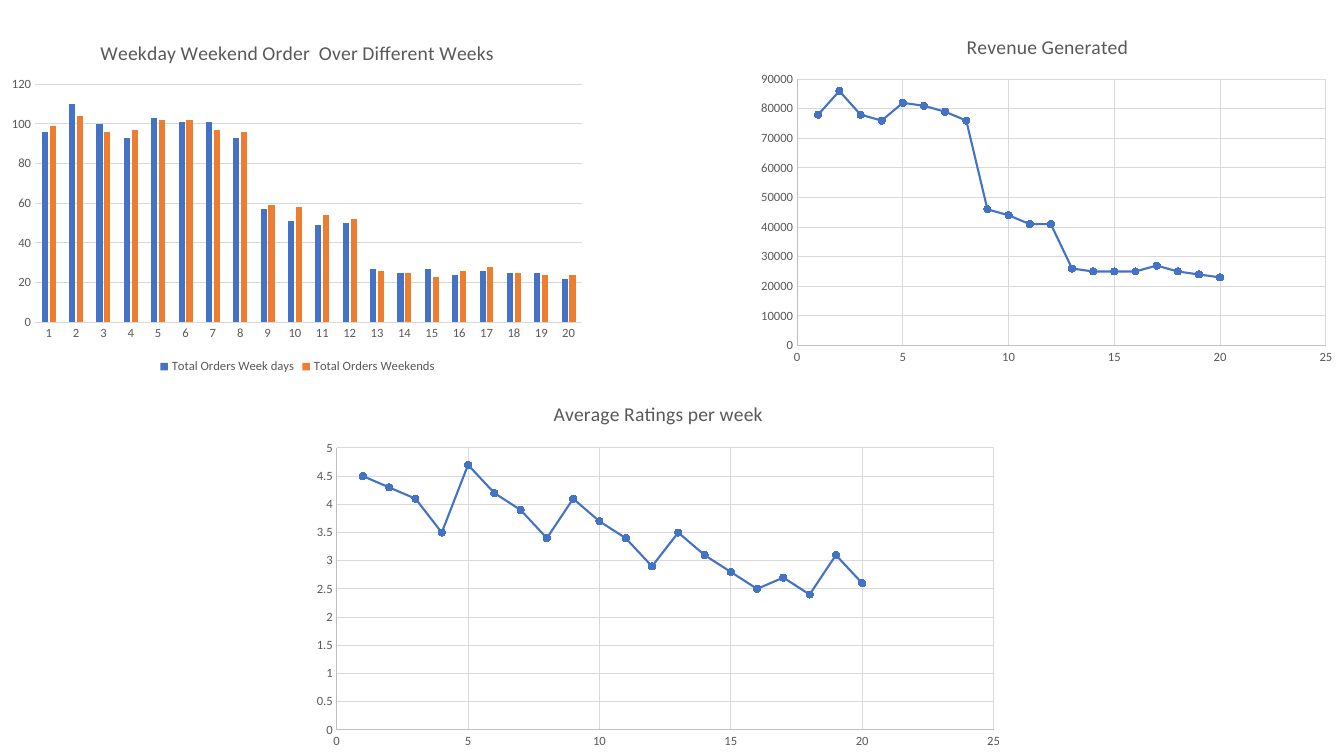
from dataclasses import dataclass
from typing import Any

from pptx import Presentation
from pptx import util as u
from pptx.chart import data as chart_data
from pptx.dml.color import RGBColor
from pptx.enum import chart as c
from pptx.oxml import parse_xml
from pptx.oxml.ns import nsdecls

SLIDE_WIDTH = u.Inches(13.33)
SLIDE_HEIGHT = u.Inches(7.5)
BLUE, ORANGE = "4472C4", "ED7D31"
TEXT, GRID, AXIS = "595959", "D9D9D9", "BFBFBF"
FONT = "Calibri"
WEEKS = range(1, 21)


@dataclass(frozen=True)
class Box:
    left: float
    top: float
    width: float
    height: float


@dataclass(frozen=True)
class Series:
    name: str
    color: str
    values: list[float]


@dataclass(frozen=True)
class ChartPanel:
    title: str
    area: Box
    plot_area: Box
    maximum: float
    step: float
    series: list[Series]
    is_scatter: bool = True


PANELS = [
    ChartPanel(
        "Weekday Weekend Order  Over Different Weeks",
        Box(0, 3.07, 44.26, 46.93), Box(5.9, 17.2, 92, 67.1), 120, 20,
        [
            Series("Total Orders Week days", BLUE,
                   [96, 110, 100, 93, 103, 101, 101, 93, 57, 51,
                    49, 50, 27, 25, 27, 24, 26, 25, 25, 22]),
            Series("Total Orders Weekends", ORANGE,
                   [99, 104, 96, 97, 102, 102, 97, 96, 59, 58,
                    54, 52, 26, 25, 23, 26, 28, 25, 24, 24]),
        ],
        is_scatter=False,
    ),
    ChartPanel(
        "Revenue Generated",
        Box(55.81, 2.27, 44.26, 46.93), Box(7.9, 17.5, 88.9, 75.1), 90000, 10000,
        [Series("Revenue Generated", BLUE,
                [78000, 86000, 78000, 76000, 82000, 81000, 79000, 76000, 46000, 44000,
                 41000, 41000, 26000, 25000, 25000, 25000, 27000, 25000, 24000, 23000])],
    ),
    ChartPanel(
        "Average Ratings per week",
        Box(22.51, 50.8, 52.96, 49.2), Box(4.8, 17.2, 92.3, 75.8), 5, 0.5,
        [Series("Average Ratings per week", BLUE,
                [4.5, 4.3, 4.1, 3.5, 4.7, 4.2, 3.9, 3.4, 4.1, 3.7,
                 3.4, 2.9, 3.5, 3.1, 2.8, 2.5, 2.7, 2.4, 3.1, 2.6])],
    ),
]


def rgb(color: str) -> RGBColor:
    return RGBColor.from_string(color)


def apply(target: Any, values: dict[str, Any]) -> None:
    for name, value in values.items():
        setattr(target, name, value)


def style_font(font: Any, size: float, color: str = TEXT) -> None:
    apply(font, {"name": FONT, "size": u.Pt(size), "bold": False})
    font.color.rgb = rgb(color)


def style_line(line: Any, color: str, width: float = 0.75) -> None:
    line.color.rgb = rgb(color)
    line.width = u.Pt(width)


def style_fill(fill: Any, color: str) -> None:
    fill.solid()
    fill.fore_color.rgb = rgb(color)


def style_axis(axis: Any, line_color: str | None, has_grid: bool) -> None:
    apply(axis, {
        "major_tick_mark": c.XL_TICK_MARK.NONE,
        "minor_tick_mark": c.XL_TICK_MARK.NONE,
        "has_major_gridlines": has_grid,
    })
    style_font(axis.tick_labels.font, 9)
    if has_grid:
        style_line(axis.major_gridlines.format.line, GRID)
    if line_color:
        style_line(axis.format.line, line_color)
    else:
        axis.format.line.fill.background()


def scale_axis(axis: Any, maximum: float, step: float) -> None:
    apply(axis, {"minimum_scale": 0, "maximum_scale": maximum, "major_unit": step})


def place_plot(chart: Any, box: Box) -> None:
    plot_area = chart.element.xpath(".//c:plotArea")[0]
    for layout in plot_area.xpath("./c:layout"):
        plot_area.remove(layout)
    shares = {"x": box.left, "y": box.top, "w": box.width, "h": box.height}
    modes = "".join(f'<c:{key}Mode val="edge"/>' for key in "xy")
    sizes = "".join(f'<c:{key} val="{share / 100:.3f}"/>' for key, share in shares.items())
    plot_area.insert(0, parse_xml(
        f'<c:layout {nsdecls("c")}><c:manualLayout><c:layoutTarget val="inner"/>'
        f"{modes}{sizes}</c:manualLayout></c:layout>"))


def build_data(panel: ChartPanel) -> Any:
    if not panel.is_scatter:
        data = chart_data.CategoryChartData()
        data.categories = [str(week) for week in WEEKS]
        for series in panel.series:
            data.add_series(series.name, series.values)
        return data
    data = chart_data.XyChartData()
    for series in panel.series:
        points = data.add_series(series.name)
        for week, value in zip(WEEKS, series.values):
            points.add_data_point(week, value)
    return data


def style_scatter(chart: Any, panel: ChartPanel) -> None:
    style_axis(chart.category_axis, AXIS, True)
    scale_axis(chart.category_axis, 25, 5)
    style_axis(chart.value_axis, AXIS, True)
    for drawn, series in zip(chart.plots[0].series, panel.series):
        drawn.smooth = False
        style_line(drawn.format.line, series.color, 1.5)
        apply(drawn.marker, {"style": c.XL_MARKER_STYLE.CIRCLE, "size": 5})
        style_fill(drawn.marker.format.fill, series.color)
        style_line(drawn.marker.format.line, series.color)


def style_columns(chart: Any, panel: ChartPanel) -> None:
    style_axis(chart.category_axis, GRID, False)
    style_axis(chart.value_axis, None, True)
    apply(chart.plots[0], {"gap_width": 219, "overlap": -27})
    for drawn, series in zip(chart.plots[0].series, panel.series):
        style_fill(drawn.format.fill, series.color)
    chart.has_legend = True
    apply(chart.legend, {"position": c.XL_LEGEND_POSITION.BOTTOM, "include_in_layout": False})
    style_font(chart.legend.font, 9)


def add_panel(slide: Any, panel: ChartPanel) -> None:
    kind = c.XL_CHART_TYPE.XY_SCATTER_LINES if panel.is_scatter else c.XL_CHART_TYPE.COLUMN_CLUSTERED
    area = panel.area
    chart = slide.shapes.add_chart(
        kind,
        int(SLIDE_WIDTH * area.left / 100), int(SLIDE_HEIGHT * area.top / 100),
        int(SLIDE_WIDTH * area.width / 100), int(SLIDE_HEIGHT * area.height / 100),
        build_data(panel),
    ).chart
    style_font(chart.font, 10, "000000")
    apply(chart, {"has_title": True, "has_legend": False})
    chart.chart_title.include_in_layout = False
    paragraph = chart.chart_title.text_frame.paragraphs[0]
    run = paragraph.add_run()
    run.text = panel.title
    style_font(run.font, 14)
    chart.plots[0].vary_by_categories = False
    (style_scatter if panel.is_scatter else style_columns)(chart, panel)
    scale_axis(chart.value_axis, panel.maximum, panel.step)
    place_plot(chart, panel.plot_area)


def main() -> None:
    presentation = Presentation()
    apply(presentation, {"slide_width": SLIDE_WIDTH, "slide_height": SLIDE_HEIGHT})
    slide = presentation.slides.add_slide(presentation.slide_layouts[6])
    for panel in PANELS:
        add_panel(slide, panel)
    presentation.save("out.pptx")


if __name__ == "__main__":
    main()
